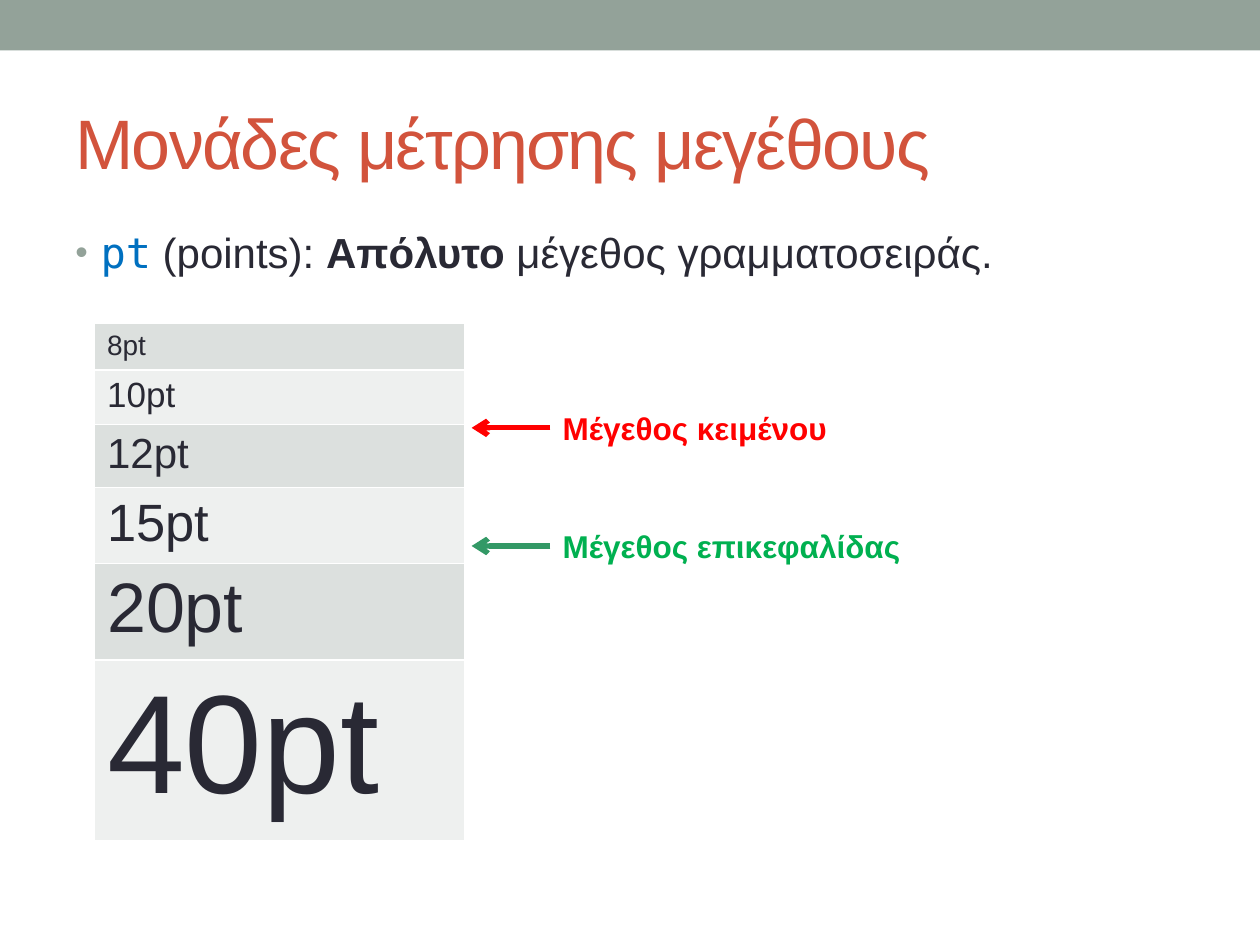
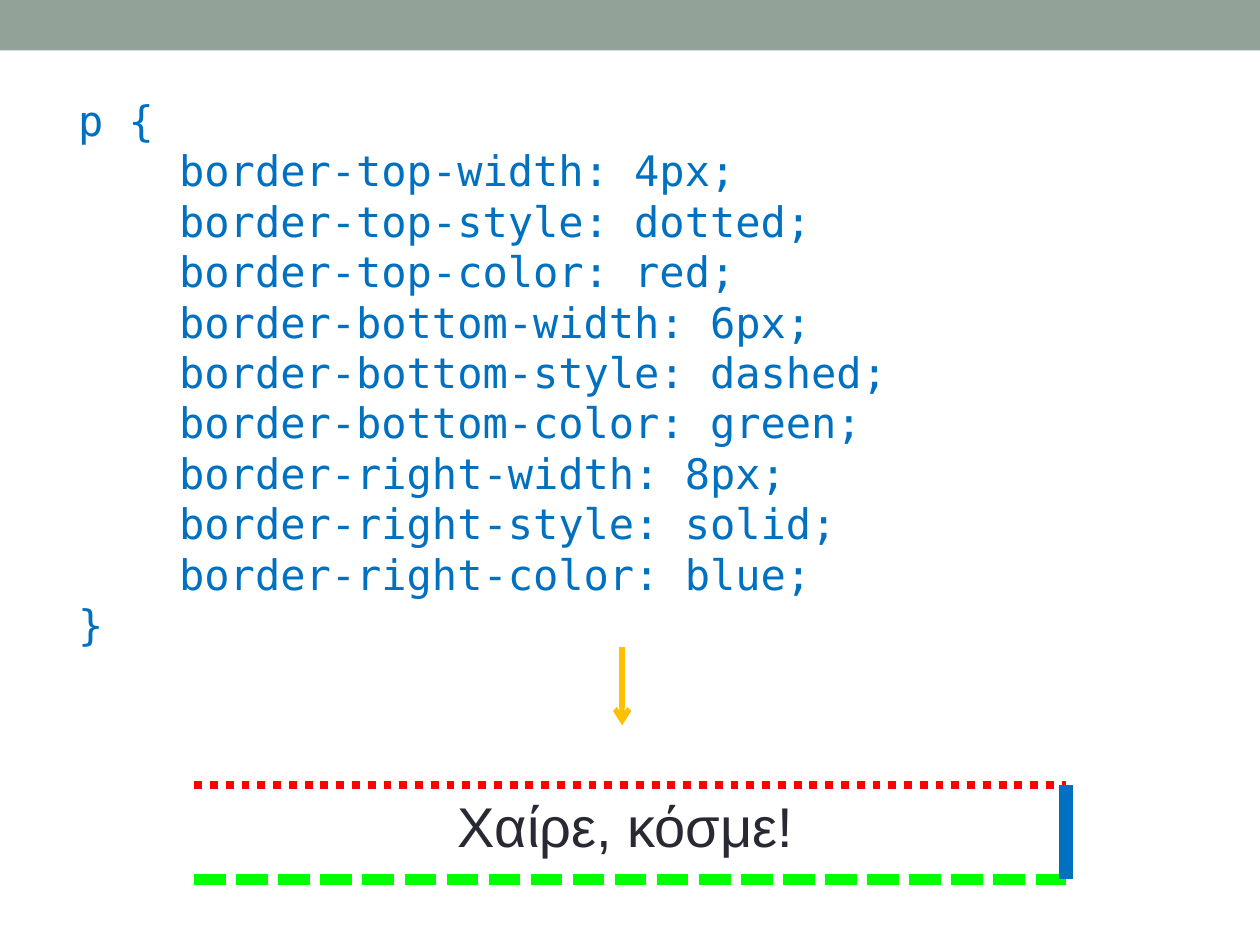
from lxml import etree
from pptx import Presentation
from pptx.dml.color import RGBColor
from pptx.enum import dml, shapes, text
from pptx.oxml import ns
from pptx.util import Pt

SANS, MONO = "Arial", "DejaVu Sans Mono"
BAND, TITLE, INK, CODE = "93A299", "D2533C", "292934", "0070C0"
RED = "FF0000"
color = RGBColor.from_string


def add_text(page, bounds, lines, size, hue, face=SANS, bold=False):
    box = page.shapes.add_textbox(*map(Pt, bounds))
    box.text_frame.word_wrap = True
    box.text_frame.text = lines
    for para in box.text_frame.paragraphs:
        for span in para.runs:
            span.font.size = Pt(size)
            span.font.name = face
            span.font.bold = bold
            span.font.color.rgb = color(hue)
    return box


def add_line(page, start, end, hue, width, dash=None, arrow=False):
    line = page.shapes.add_connector(shapes.MSO_CONNECTOR.STRAIGHT, *map(Pt, start + end))
    line.line.color.rgb = color(hue)
    line.line.width = Pt(width)
    if dash:
        line.line.dash_style = dash
    if arrow:
        etree.SubElement(line.line._get_or_add_ln(), ns.qn("a:tailEnd"), type="arrow")
    etree.SubElement(line._element.spPr, ns.qn("a:effectLst"))
    return line


deck = Presentation()
deck.slide_width, deck.slide_height = Pt(720), Pt(540)
units_page, border_page = [deck.slides.add_slide(deck.slide_layouts[6]) for _ in range(2)]

for page in (units_page, border_page):
    band = page.shapes.add_shape(shapes.MSO_SHAPE.RECTANGLE, 0, 0, deck.slide_width, Pt(28.8))
    band.shadow.inherit = False
    band.fill.solid()
    band.fill.fore_color.rgb = color(BAND)
    band.line.fill.background()

title = add_text(units_page, (36, 42, 648, 77.5), "Μονάδες μέτρησης μεγέθους", 40, TITLE)
title.text_frame.vertical_anchor = text.MSO_ANCHOR.MIDDLE
title.text_frame.paragraphs[0].runs[0].font._element.set("spc", "-100")

body = add_text(units_page, (36, 126, 648, 384), "", 24, INK)
para = body.text_frame.paragraphs[0]
props = para._p.get_or_add_pPr()
props.set("marL", str(Pt(14.4)))
props.set("indent", str(Pt(-14.4)))
bullet_color = etree.SubElement(props, ns.qn("a:buClr"))
etree.SubElement(bullet_color, ns.qn("a:srgbClr"), val=BAND)
etree.SubElement(props, ns.qn("a:buSzPct"), val="85000")
etree.SubElement(props, ns.qn("a:buFont"), typeface=SANS)
etree.SubElement(props, ns.qn("a:buChar"), char="•")
for words, face, hue, bold in [
    ("pt", MONO, CODE, False),
    (" (points): ", SANS, INK, False),
    ("Απόλυτο", SANS, INK, True),
    (" μέγεθος γραμματοσειράς.", SANS, INK, False),
]:
    span = para.add_run()
    span.text = words
    span.font.size = Pt(24)
    span.font.name = face
    span.font.bold = bold
    span.font.color.rgb = color(hue)

point_sizes = [8, 10, 12, 15, 20, 40]
row_heights = [2 * size * 1.12 + 7 for size in point_sizes]
frame = units_page.shapes.add_table(
    len(point_sizes), 1, Pt(54), Pt(185), Pt(211.5), Pt(sum(row_heights)))
table = frame.table
table.first_row = False
table.horz_banding = False
for index, size in enumerate(point_sizes):
    table.rows[index].height = Pt(row_heights[index])
    cell = table.cell(index, 0)
    cell.fill.solid()
    cell.fill.fore_color.rgb = color(("DCE0DE", "EEF0EF")[index % 2])
    cell.text_frame.text = f"{size}pt"
    font = cell.text_frame.paragraphs[0].runs[0].font
    font.size = Pt(2 * size)
    font.name = SANS
    font.color.rgb = color(INK)

for middle, words, arrow_hue, text_hue in [
    (244.5, "Μέγεθος κειμένου", RED, RED),
    (312, "Μέγεθος επικεφαλίδας", "339966", "00B050"),
]:
    label = add_text(units_page, (314.5, middle - 14.5, 335, 29), words, 18, text_hue, bold=True)
    arrow = add_line(units_page, (314.5, middle), (269.5, middle), arrow_hue, 3, arrow=True)
    arrow.begin_connect(label, 1)

declarations = [
    f"    border-{side}-{key}: {value};"
    for side, values in [
        ("top", ("4px", "dotted", "red")),
        ("bottom", ("6px", "dashed", "green")),
        ("right", ("8px", "solid", "blue")),
    ]
    for key, value in zip(("width", "style", "color"), values)
]
code = add_text(border_page, (37.5, 50.5, 605.5, 327),
                "\n".join(["p {", *declarations, "}"]), 24, CODE, MONO)
for para in code.text_frame.paragraphs:
    para.line_spacing = Pt(28.8)

add_line(border_page, (355.5, 369.5), (355.5, 414.5), "FFC000", 3, arrow=True)

left, right, top, bottom = 111, 609, 448.5, 502.5
greeting = add_text(border_page, (left, top, 493, 46), "Χαίρε, κόσμε!", 32, INK)
greeting.text_frame.paragraphs[0].alignment = text.PP_ALIGN.CENTER
add_line(border_page, (left, top), (right, top), RED, 4.5, dml.MSO_LINE.ROUND_DOT)
add_line(border_page, (left, bottom), (right, bottom), "00FF00", 6, dml.MSO_LINE.SQUARE_DOT)
add_line(border_page, (right, bottom), (right, top), CODE, 8)

deck.save("out.pptx")
